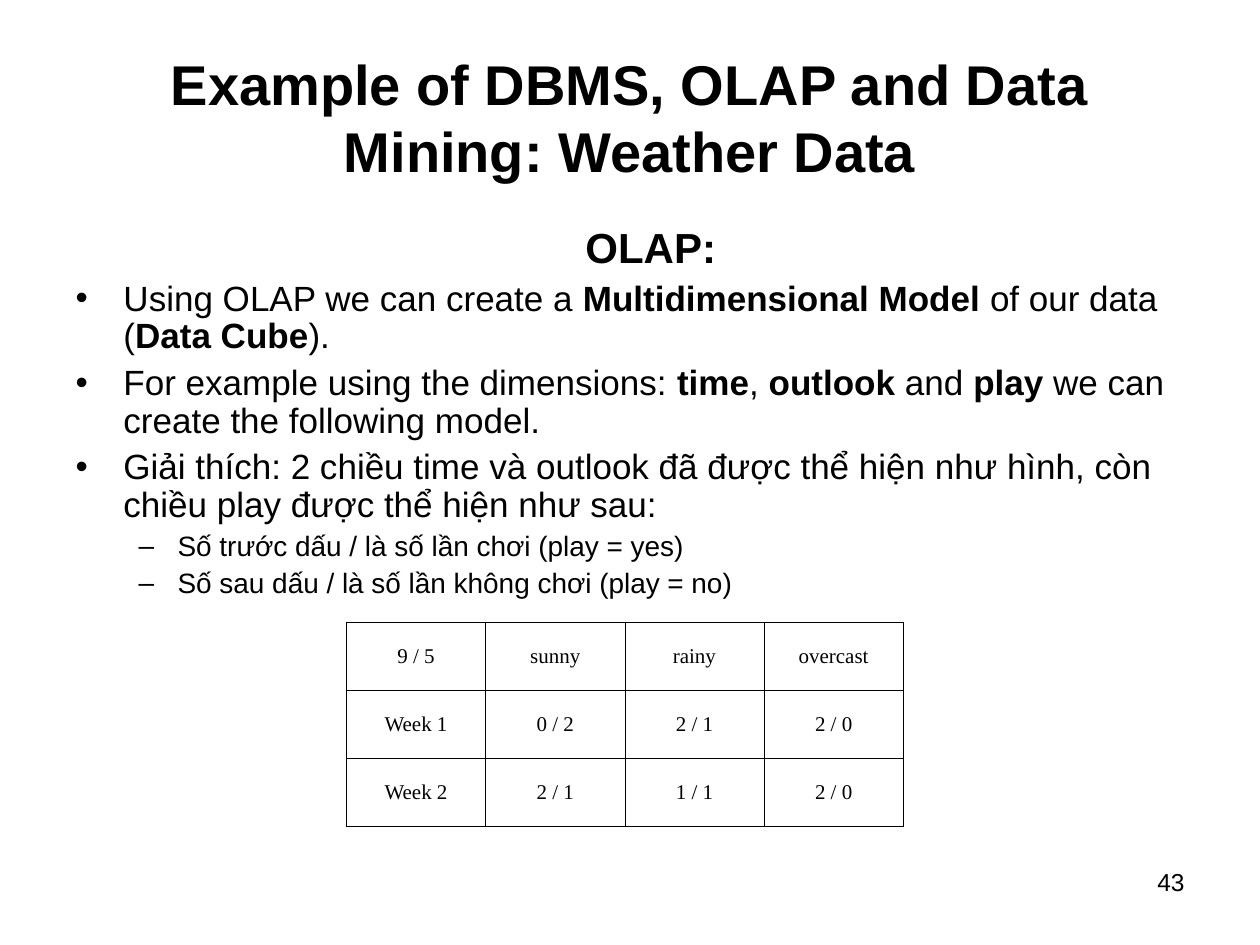
from collections import namedtuple
from dataclasses import dataclass

from lxml.etree import SubElement
from pptx import Presentation
from pptx.dml.color import RGBColor
from pptx.enum.text import MSO_ANCHOR as Anchor, MSO_AUTO_SIZE as AutoSize, PP_ALIGN as Align
from pptx.oxml.ns import qn
from pptx.util import Emu, Pt

PX = 9144  # one px is a hundredth of an inch
Box = namedtuple("Box", "left top width height")
Level = namedtuple("Level", "bullet margin hanging size before")


@dataclass(frozen=True)
class Theme:
    ink: str = "000000"
    font: str = "Arial"
    table_font: str = "Times New Roman"
    title: int = 32
    heading: int = 24
    cell: int = 12
    number: int = 14
    border: float = 0.34
    line_spacing: float = 0.9


THEME = Theme()
LEVELS = [Level("•", 38, 38, 20, 5), Level("–", 81, 31, 16, 4)]

TITLE = "Example of DBMS, OLAP and Data Mining: Weather Data"
HEADING = "OLAP:"
# Level and text of each point; ** switches bold on and off
POINTS = [
    (0, "Using OLAP we can create a **Multidimensional Model** of our data (**Data Cube**)."),
    (0, "For example using the dimensions: **time**, **outlook** and **play** "
        "we can create the following model."),
    (0, "Giải thích: 2 chiều time và outlook đã được thể hiện như hình, "
        "còn chiều play được thể hiện như sau:"),
    (1, "Số trước dấu / là số lần chơi (play = yes)"),
    (1, "Số sau dấu / là số lần không chơi (play = no)"),
]
WEATHER = [
    ["9 / 5", "sunny", "rainy", "overcast"],
    ["Week 1", "0 / 2", "2 / 1", "2 / 0"],
    ["Week 2", "2 / 1", "1 / 1", "2 / 0"],
]


def emu(px):
    return Emu(px * PX)


def place(shape, box):
    shape.left, shape.top, shape.width, shape.height = map(emu, box)


def write(para, text, size, font=THEME.font, bold=False, align=Align.LEFT):
    """Write text into a paragraph; parts between ** take the other weight."""
    para.alignment = align
    for index, part in enumerate(text.split("**")):
        span = para.add_run()
        span.text = part
        span.font.size = Pt(size)
        span.font.name = font
        span.font.bold = bold != (index % 2 == 1)
        span.font.color.rgb = RGBColor.from_string(THEME.ink)


def set_bullet(para, level):
    props = para._p.get_or_add_pPr()
    props.set("marL", str(emu(level.margin)))
    props.set("indent", str(emu(-level.hanging)))
    colour = SubElement(props, qn("a:buClr"))
    SubElement(colour, qn("a:srgbClr"), val=THEME.ink)
    SubElement(props, qn("a:buFont"), typeface=THEME.font)
    SubElement(props, qn("a:buChar"), char=level.bullet)


def set_borders(cell):
    props = cell._tc.get_or_add_tcPr()
    for side in ("lnL", "lnR", "lnT", "lnB"):
        line = SubElement(props, qn(f"a:{side}"), w=str(Pt(THEME.border)))
        fill = SubElement(line, qn("a:solidFill"))
        SubElement(fill, qn("a:srgbClr"), val=THEME.ink)


def add_title(page, box):
    title = page.shapes.title
    place(title, box)
    frame = title.text_frame
    frame.auto_size = AutoSize.NONE
    frame.vertical_anchor = Anchor.MIDDLE
    write(frame.paragraphs[0], TITLE, THEME.title, bold=True, align=Align.CENTER)


def add_body(page, box):
    body = page.placeholders[1]
    place(body, box)
    frame = body.text_frame
    frame.auto_size = AutoSize.NONE

    # Centred heading without a bullet
    heading = frame.paragraphs[0]
    props = heading._p.get_or_add_pPr()
    props.set("marL", "0")
    props.set("indent", "0")
    SubElement(props, qn("a:buNone"))
    heading.line_spacing = THEME.line_spacing
    heading.space_before = Pt(0)
    write(heading, HEADING, THEME.heading, bold=True, align=Align.CENTER)

    # Bulleted points
    for depth, text in POINTS:
        level = LEVELS[depth]
        para = frame.add_paragraph()
        para.level = depth
        set_bullet(para, level)
        para.line_spacing = THEME.line_spacing
        para.space_before = Pt(level.before)
        write(para, text, level.size)


def add_weather_table(page, box):
    rows, columns = len(WEATHER), len(WEATHER[0])
    table = page.shapes.add_table(rows, columns, *map(emu, box)).table
    table.first_row = table.horz_banding = False
    for row, values in zip(table.rows, WEATHER):
        row.height = emu(box.height) // rows
        for cell, value in zip(row.cells, values):
            set_borders(cell)
            cell.fill.background()
            cell.vertical_anchor = Anchor.MIDDLE
            write(cell.text_frame.paragraphs[0], value, THEME.cell,
                  font=THEME.table_font, align=Align.CENTER)


def add_page_number(page, box):
    frame = page.shapes.add_textbox(*map(emu, box)).text_frame
    frame.word_wrap = True
    write(frame.paragraphs[0], "43", THEME.number, align=Align.RIGHT)


def main():
    deck = Presentation()
    deck.slide_width, deck.slide_height = emu(1000), emu(750)
    page = deck.slides.add_slide(deck.slide_layouts[1])
    add_page_number(page, Box(717, 683, 233, 52))
    add_title(page, Box(50, 30, 900, 125))
    add_body(page, Box(50, 175, 933, 308))
    add_weather_table(page, Box(275, 494, 442, 162))
    deck.save("out.pptx")


if __name__ == "__main__":
    main()
